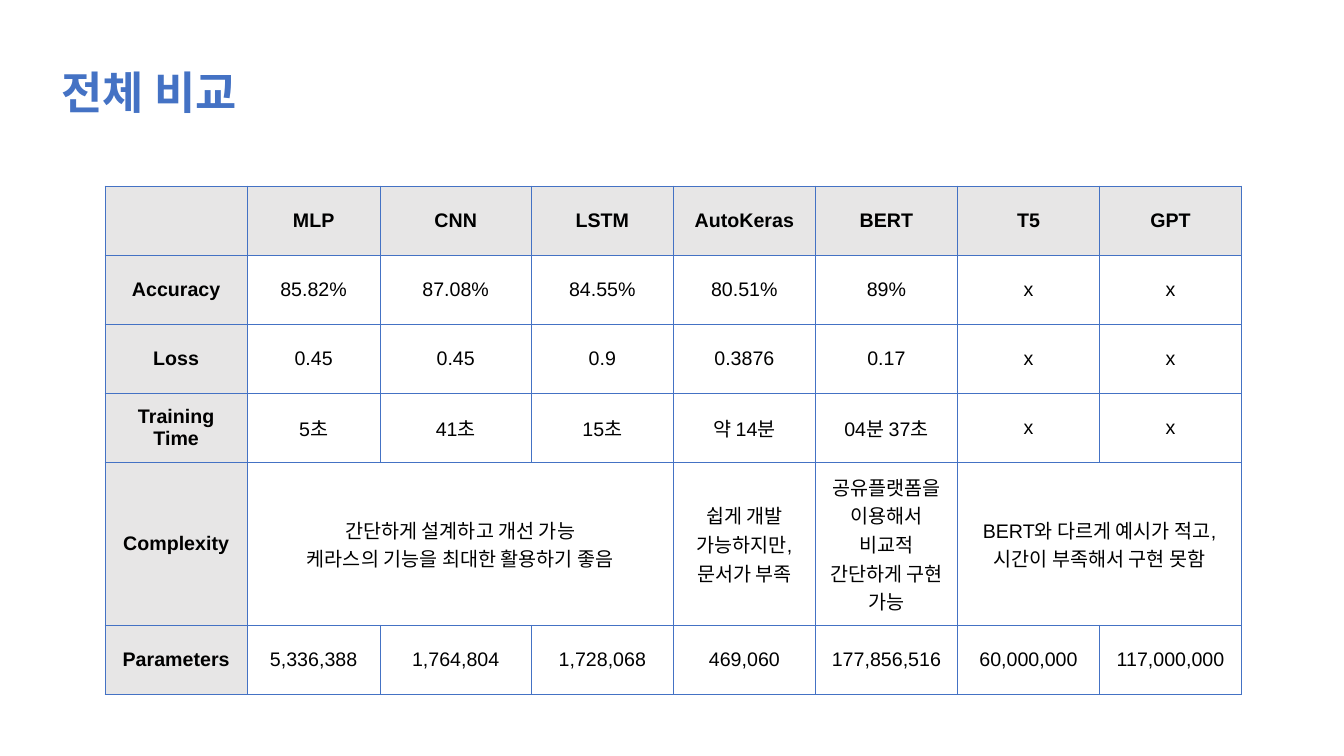
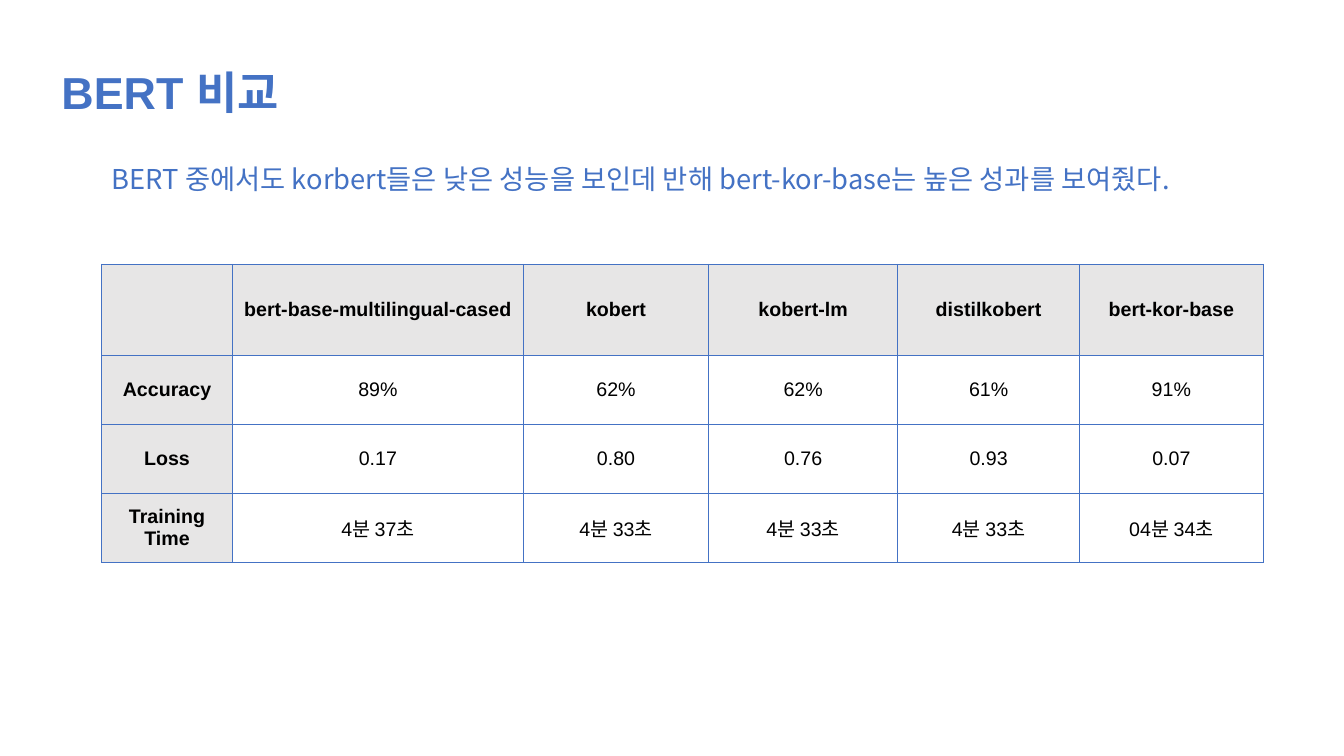
from dataclasses import dataclass

import pptx
import pptx.dml.color
import pptx.enum.text
import pptx.oxml
import pptx.oxml.ns
import pptx.slide
import pptx.table
import pptx.text.text
import pptx.util

Cm = pptx.util.Cm
Pt = pptx.util.Pt
RGB = pptx.dml.color.RGBColor

BLUE = RGB(0x44, 0x72, 0xC4)
GRAY = RGB(0xE7, 0xE6, 0xE6)
BLACK = RGB(0x00, 0x00, 0x00)
SANS = "Arial"
NOTO = "Noto Sans CJK KR"
PAD = Cm(0.25)
EDGE = Pt(0.75)
ROW = 1.74
COL = 3.58


@dataclass(frozen=True)
class Grid:
    left: float
    top: float
    cols: list[float]
    rows: list[float]
    cells: list[list[str | None]]


@dataclass(frozen=True)
class Page:
    title: str
    grid: Grid
    note: str = ""


PAGES = [
    Page(
        "전체 비교",
        Grid(
            2.65, 4.69,
            [COL, 3.35, 3.81] + [COL] * 5,
            [ROW] * 4 + [4.11, ROW],
            [
                ["", "MLP", "CNN", "LSTM", "AutoKeras", "BERT", "T5", "GPT"],
                ["Accuracy", "85.82%", "87.08%", "84.55%", "80.51%", "89%", "x", "x"],
                ["Loss", "0.45", "0.45", "0.9", "0.3876", "0.17", "x", "x"],
                ["Training Time", "5초", "41초", "15초", "약 14분", "04분 37초", "x", "x"],
                [
                    "Complexity",
                    "간단하게 설계하고 개선 가능\n케라스의 기능을 최대한 활용하기 좋음",
                    None,
                    None,
                    "쉽게 개발 가능하지만, 문서가 부족",
                    "공유플랫폼을 이용해서 비교적 간단하게 구현 가능",
                    "BERT와 다르게 예시가 적고,\v시간이 부족해서 구현 못함",
                    None,
                ],
                ["Parameters", "5,336,388", "1,764,804", "1,728,068", "469,060",
                 "177,856,516", "60,000,000", "117,000,000"],
            ],
        ),
    ),
    Page(
        "BERT 비교",
        Grid(
            2.56, 6.66,
            [3.3, 7.33, 4.67, 4.76, 4.59, 4.62],
            [2.29] + [ROW] * 3,
            [
                ["", "bert-base-multilingual-cased", "kobert", "kobert-lm",
                 "distilkobert", "bert-kor-base"],
                ["Accuracy", "89%", "62%", "62%", "61%", "91%"],
                ["Loss", "0.17", "0.80", "0.76", "0.93", "0.07"],
                ["Training Time", "4분 37초", "4분 33초", "4분 33초", "4분 33초", "04분 34초"],
            ],
        ),
        "BERT 중에서도 korbert들은 낮은 성능을 보인데 반해 bert-kor-base는 높은 성과를 보여줬다.",
    ),
]


def set_font(para: pptx.text.text._Paragraph, size: float, color: RGB,
             bold: bool = False, name: str = SANS) -> None:
    font = para.font
    font.name = name
    font.size = Pt(size)
    font.bold = bold
    font.color.rgb = color


def add_text(slide: pptx.slide.Slide, text: str, left: float, top: float,
             width: float, height: float) -> pptx.text.text._Paragraph:
    box = slide.shapes.add_textbox(Cm(left), Cm(top), Cm(width), Cm(height))
    frame = box.text_frame
    frame.word_wrap = True
    frame.text = text
    return frame.paragraphs[0]


def add_edges(cell: pptx.table._Cell) -> None:
    props = cell._tc.get_or_add_tcPr()
    for side in ("lnL", "lnR", "lnT", "lnB"):
        props.append(pptx.oxml.parse_xml(
            f'<a:{side} {pptx.oxml.ns.nsdecls("a")} w="{EDGE}">'
            f'<a:solidFill><a:srgbClr val="{BLUE}"/></a:solidFill></a:{side}>'
        ))


def style_cell(cell: pptx.table._Cell, text: str | None, head: bool) -> None:
    add_edges(cell)
    if head:
        cell.fill.solid()
        cell.fill.fore_color.rgb = GRAY
    else:
        cell.fill.background()
    cell.margin_left = cell.margin_right = PAD
    cell.margin_top = cell.margin_bottom = PAD
    cell.vertical_anchor = pptx.enum.text.MSO_ANCHOR.MIDDLE
    if text:
        cell.text = text
    for para in cell.text_frame.paragraphs:
        para.alignment = pptx.enum.text.PP_ALIGN.CENTER
        set_font(para, 14, BLACK, head)


def add_grid(slide: pptx.slide.Slide, grid: Grid) -> None:
    table = slide.shapes.add_table(
        len(grid.rows), len(grid.cols), Cm(grid.left), Cm(grid.top),
        Cm(sum(grid.cols)), Cm(sum(grid.rows)),
    ).table
    table.first_row = table.horz_banding = False
    for col, width in zip(table.columns, grid.cols):
        col.width = Cm(width)
    for row, height in zip(table.rows, grid.rows):
        row.height = Cm(height)
    for r, line in enumerate(grid.cells):
        start = 0
        for c, text in enumerate(line):
            style_cell(table.cell(r, c), text, r == 0 or c == 0)
            if text is not None:
                start = c
            elif c + 1 == len(line) or line[c + 1] is not None:
                table.cell(r, start).merge(table.cell(r, c))


def add_page(deck: pptx.presentation.Presentation, page: Page) -> None:
    slide = deck.slides.add_slide(deck.slide_layouts[6])
    add_grid(slide, page.grid)
    title = add_text(slide, page.title, 1.3, 1.5, 16.94, 1.63)
    set_font(title, 32, BLUE, True)
    if page.note:
        note = add_text(slide, page.note, 2.56, 4.06, 30.6, 1.37)
        note.line_spacing = 0.9
        note.space_before = Pt(10)
        set_font(note, 19.5, BLUE, name=NOTO)


def main() -> None:
    deck = pptx.Presentation()
    deck.slide_width = Cm(33.87)
    deck.slide_height = Cm(19.05)
    for page in PAGES:
        add_page(deck, page)
    deck.save("out.pptx")


if __name__ == "__main__":
    main()
